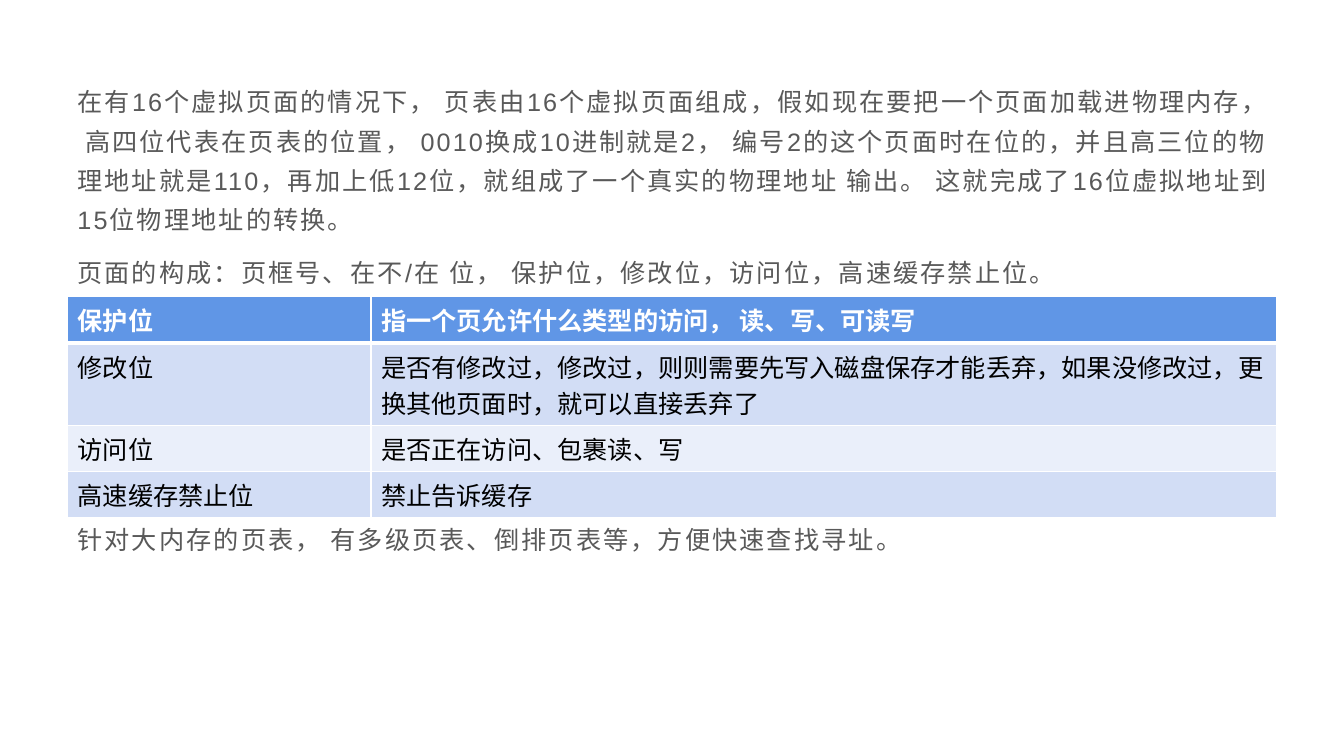
from dataclasses import dataclass

from lxml.etree import SubElement
from pptx import Presentation
from pptx.dml.color import RGBColor
from pptx.oxml.ns import qn
from pptx.slide import Slide
from pptx.table import _Cell
from pptx.text.text import _Paragraph
from pptx.util import Inches, Pt

FONT = "Arial"
TEXT_SIZE = Pt(18)
GREY = RGBColor(0x59, 0x59, 0x59)
BLACK = RGBColor(0x00, 0x00, 0x00)
WHITE = RGBColor(0xFF, 0xFF, 0xFF)
HEADER_BLUE = RGBColor(0x60, 0x96, 0xE6)
BAND_DARK = RGBColor(0xD2, 0xDD, 0xF5)
BAND_LIGHT = RGBColor(0xEA, 0xEF, 0xFA)

LEFT, WIDTH = Inches(0.67), Inches(12)
COLUMN_WIDTHS = (Inches(3.01), Inches(8.98))
ONE_LINE_ROW, EXTRA_LINE = Inches(0.46), Inches(0.36)


@dataclass(frozen=True)
class Passage:
    text: str
    space_before: float = 0


@dataclass(frozen=True)
class PageBit:
    name: str
    meaning: str
    lines: int = 1


PASSAGES = [
    Passage(
        "在有16个虚拟页面的情况下， 页表由16个虚拟页面组成，假如现在要把一个页面加载进物理内存，"
        " 高四位代表在页表的位置， 0010换成10进制就是2， 编号2的这个页面时在位的，"
        "并且高三位的物理地址就是110，再加上低12位，就组成了一个真实的物理地址 输出。"
        " 这就完成了16位虚拟地址到15位物理地址的转换。"
    ),
    Passage("页面的构成：页框号、在不/在 位， 保护位，修改位，访问位，高速缓存禁止位。"),
    # The space before the last passage leaves room for the table
    Passage("针对大内存的页表， 有多级页表、倒排页表等，方便快速查找寻址。", space_before=152),
]

PAGE_BITS = [
    PageBit("保护位", "指一个页允许什么类型的访问， 读、写、可读写"),
    PageBit(
        "修改位",
        "是否有修改过，修改过，则则需要先写入磁盘保存才能丢弃，如果没修改过，"
        "更换其他页面时，就可以直接丢弃了",
        lines=2,
    ),
    PageBit("访问位", "是否正在访问、包裹读、写"),
    PageBit("高速缓存禁止位", "禁止告诉缓存"),
]


def format_runs(
    paragraph: _Paragraph, color: RGBColor, bold: bool = False, tracking: float = 0
) -> None:
    for run in paragraph.runs:
        run.font.name = FONT
        run.font.size = TEXT_SIZE
        run.font.bold = bold
        run.font.color.rgb = color
        if tracking:
            run.font._element.set("spc", str(round(tracking * 100)))


def add_explanation(slide: Slide) -> None:
    explanation = slide.shapes.add_textbox(LEFT, Inches(0.72), WIDTH, Inches(6.11))
    frame = explanation.text_frame
    frame.word_wrap = True
    frame.text = "\n".join(passage.text for passage in PASSAGES)
    for paragraph, passage in zip(frame.paragraphs, PASSAGES):
        paragraph.line_spacing = 1.3
        paragraph.space_before = Pt(passage.space_before)
        paragraph.space_after = Pt(10)
        format_runs(paragraph, GREY, tracking=1.5)


def set_borders(cell: _Cell, widths: dict[str, int]) -> None:
    properties = cell._tc.get_or_add_tcPr()
    for side, width in widths.items():
        line = SubElement(properties, qn(f"a:ln{side}"), w=str(Pt(width)))
        fill = SubElement(line, qn("a:solidFill"))
        SubElement(fill, qn("a:srgbClr"), val=str(WHITE))


def add_page_bits(slide: Slide) -> None:
    row_heights = [ONE_LINE_ROW + EXTRA_LINE * (bit.lines - 1) for bit in PAGE_BITS]
    page_bits = slide.shapes.add_table(
        len(PAGE_BITS), len(COLUMN_WIDTHS), LEFT, Inches(2.94), WIDTH, sum(row_heights)
    ).table
    for column, width in zip(page_bits.columns, COLUMN_WIDTHS):
        column.width = width

    for index, (row, bit) in enumerate(zip(page_bits.rows, PAGE_BITS)):
        row.height = row_heights[index]
        is_header = index == 0
        band = BAND_DARK if index % 2 else BAND_LIGHT
        # The line under the header is thicker
        top = 3 if index == 1 else 1
        bottom = 3 if is_header else 1
        for cell, text in zip(row.cells, (bit.name, bit.meaning)):
            cell.text_frame.text = text
            format_runs(
                cell.text_frame.paragraphs[0],
                WHITE if is_header else BLACK,
                bold=is_header,
            )
            set_borders(cell, {"L": 1, "R": 1, "T": top, "B": bottom})
            cell.fill.solid()
            cell.fill.fore_color.rgb = HEADER_BLUE if is_header else band


def main() -> None:
    presentation = Presentation()
    presentation.slide_width = Inches(13.33)
    presentation.slide_height = Inches(7.5)
    slide = presentation.slides.add_slide(presentation.slide_layouts[6])
    add_explanation(slide)
    add_page_bits(slide)
    presentation.save("out.pptx")


if __name__ == "__main__":
    main()
